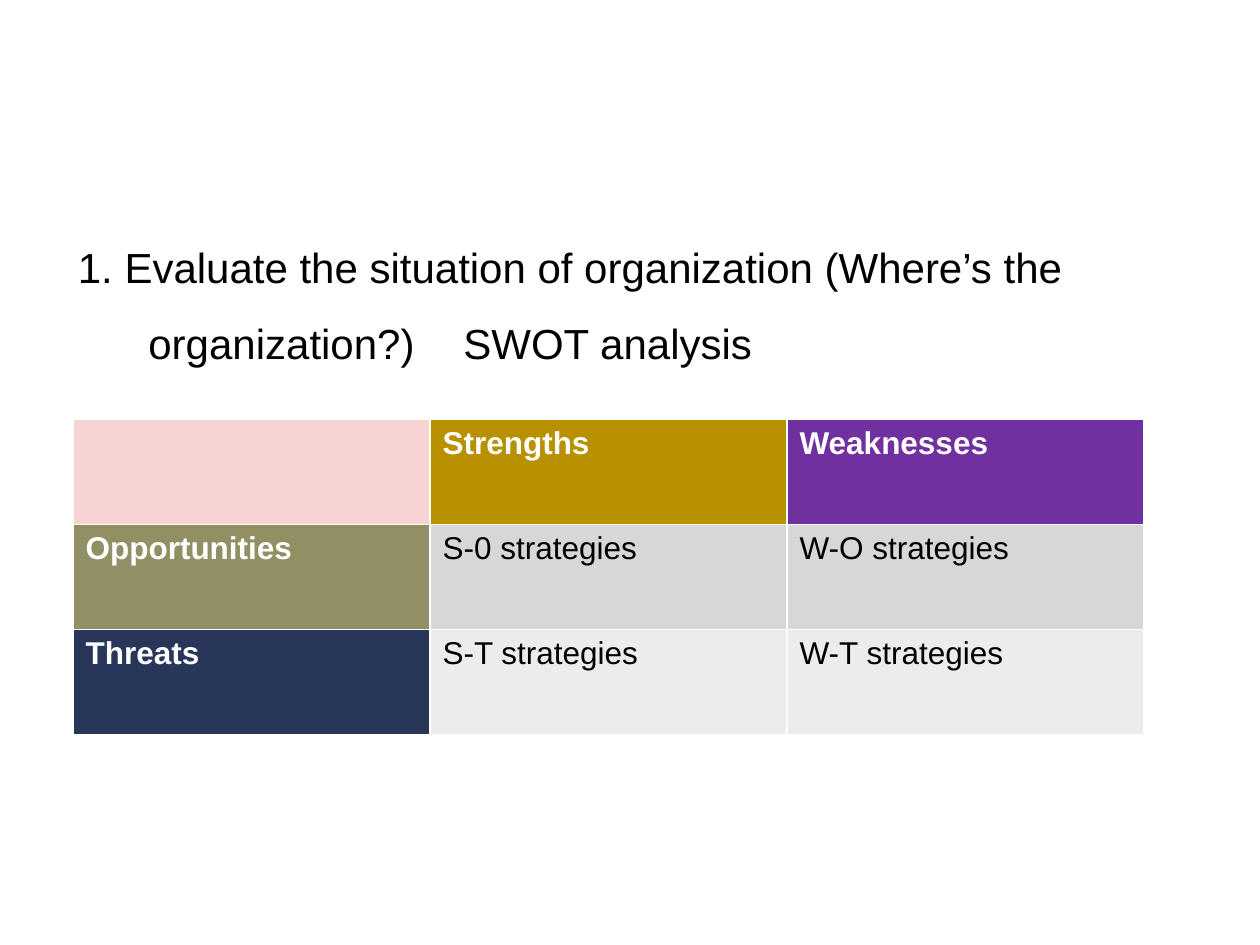
from dataclasses import dataclass

from lxml import etree
from pptx import Presentation
from pptx import util as u
from pptx.dml import color
from pptx.enum import text
from pptx.oxml import ns

WHITE, BLACK = "FFFFFF", "000000"
FONT = "Arial"


@dataclass(frozen=True)
class SwotCell:
    label: str
    fill: str
    heading: bool = False


SWOT_ROWS = [
    [SwotCell("", "F7D3D4"), SwotCell("Strengths", "B89101", True),
     SwotCell("Weaknesses", "7030A0", True)],
    [SwotCell("Opportunities", "919064", True), SwotCell("S-0 strategies", "D7D7D7"),
     SwotCell("W-O strategies", "D7D7D7")],
    [SwotCell("Threats", "283659", True), SwotCell("S-T strategies", "ECECEC"),
     SwotCell("W-T strategies", "ECECEC")],
]


def rgb(value: str) -> color.RGBColor:
    return color.RGBColor.from_string(value)


def apply_format(target, values: dict) -> None:
    for name, value in values.items():
        setattr(target, name, value)


def format_font(paragraph, size: int, hex_color: str, bold: bool = False) -> None:
    apply_format(paragraph.font, {"name": FONT, "size": u.Pt(size), "bold": bold})
    paragraph.font.color.rgb = rgb(hex_color)


def add_question(slide) -> None:
    shape = slide.shapes.add_textbox(
        u.Inches(0.25), u.Inches(1.67), u.Inches(10), u.Inches(1.24))
    apply_format(shape.text_frame, {
        "word_wrap": True, "auto_size": text.MSO_AUTO_SIZE.SHAPE_TO_FIT_TEXT})
    paragraph = shape.text_frame.paragraphs[0]
    paragraph.text = ("1. Evaluate the situation of organization "
                      "(Where’s the organization?)\tSWOT analysis")
    apply_format(paragraph, {"level": 1, "line_spacing": 1.5, "space_after": u.Pt(6)})
    properties = paragraph._p.get_or_add_pPr()
    properties.set("marL", str(u.Inches(0.83)))
    properties.set("indent", str(u.Inches(-0.56)))
    tabs = etree.SubElement(properties, ns.qn("a:tabLst"))
    etree.SubElement(tabs, ns.qn("a:tab"), pos=str(u.Inches(3.03)), algn="l")
    format_font(paragraph, 24, BLACK)


def add_swot_table(slide, rows: list[list[SwotCell]]) -> None:
    table = slide.shapes.add_table(
        len(rows), len(rows[0]),
        u.Inches(0.58), u.Inches(3.33), u.Inches(8.5), u.Inches(2.5)).table
    for row_index, row in enumerate(rows):
        for column_index, swot in enumerate(row):
            cell = table.cell(row_index, column_index)
            cell.fill.solid()
            cell.fill.fore_color.rgb = rgb(swot.fill)
            cell.text = swot.label
            format_font(cell.text_frame.paragraphs[0], 18,
                        WHITE if swot.heading else BLACK, swot.heading)


def main() -> None:
    presentation = Presentation()
    apply_format(presentation, {
        "slide_width": u.Inches(10), "slide_height": u.Inches(7.5)})
    slide = presentation.slides.add_slide(presentation.slide_layouts[6])
    add_question(slide)
    add_swot_table(slide, SWOT_ROWS)
    presentation.save("out.pptx")


if __name__ == "__main__":
    main()
